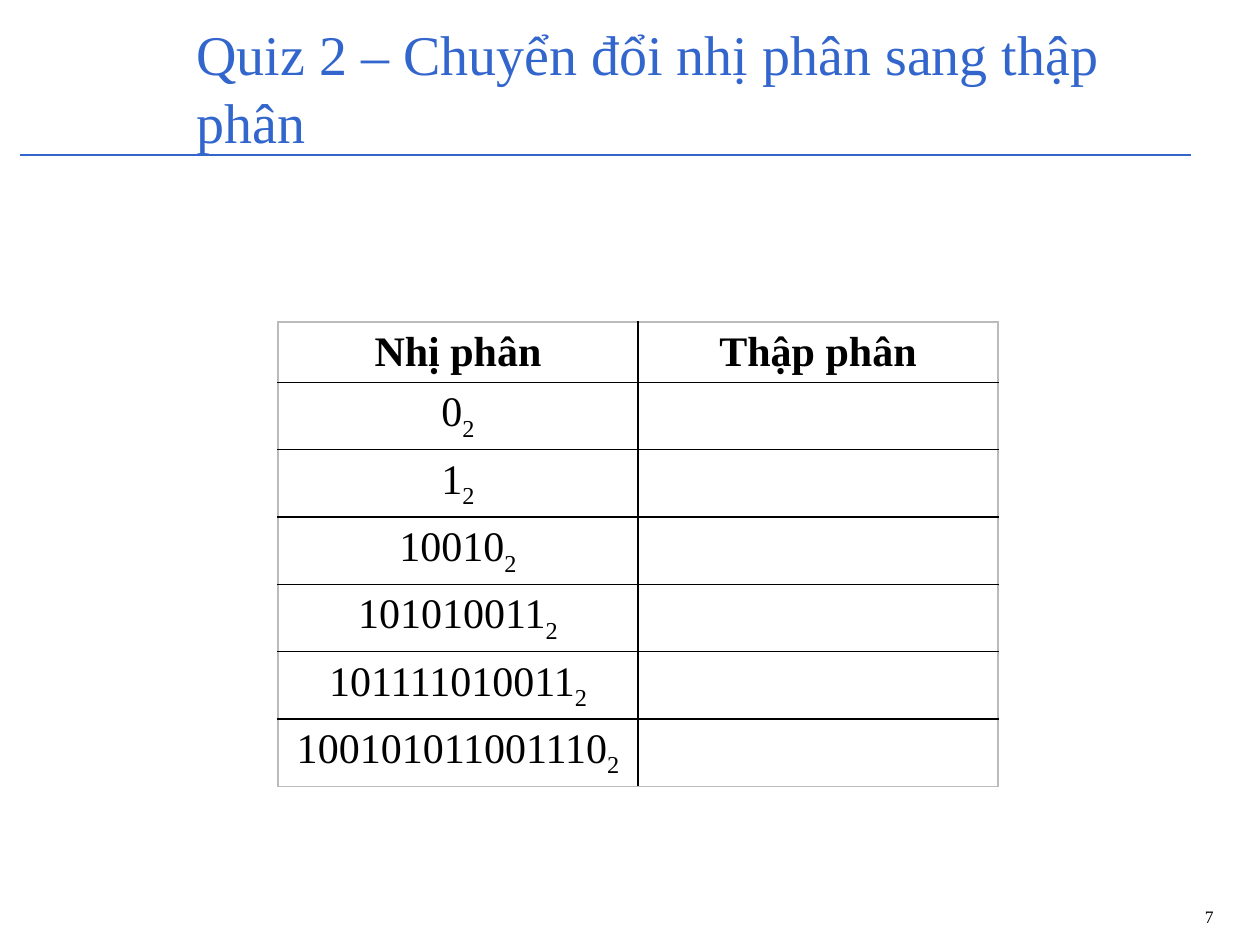
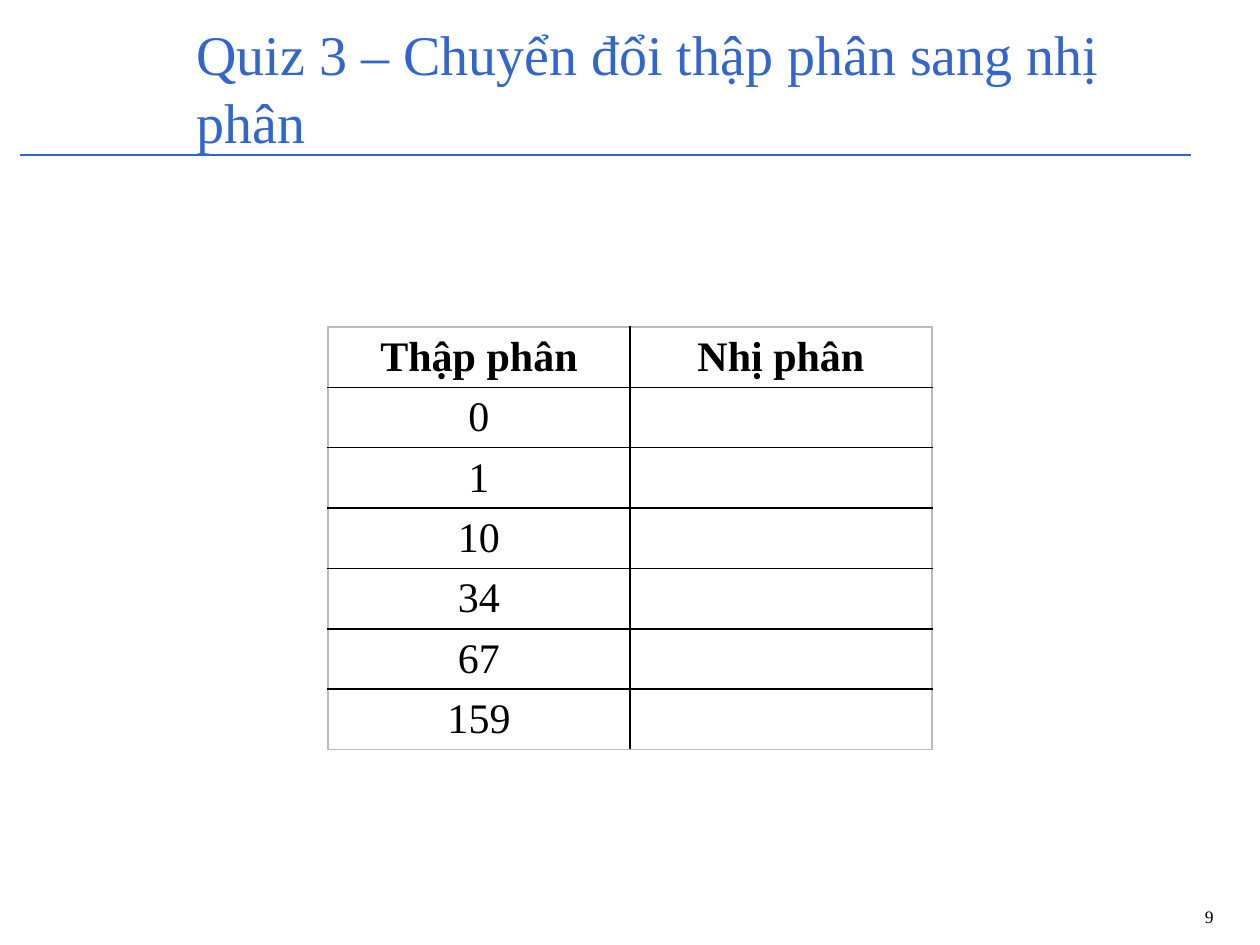
import pptx
import pptx.util
import pptx.dml.color
import pptx.enum.shapes
import pptx.enum.text
import pptx.oxml.ns
import lxml.etree

RGB = pptx.dml.color.RGBColor.from_string
ALIGN = pptx.enum.text.PP_ALIGN
ANCHOR = pptx.enum.text.MSO_ANCHOR
qn = pptx.oxml.ns.qn

THEME = {
    "font": "Times New Roman",
    "blue": "3366CC", "text": "000000", "grid": "000000", "frame": "BBBBBB",
    "title": 32, "table": 24, "number": 10,
    "rule": 0.75, "border": 1,
}
ROW_HEIGHT = 60

# Each quiz: title, page number, table left, top, column width, headings, values, base
QUIZZES = [
    ("Quiz 2 – Chuyển đổi nhị phân sang thập phân", "7", 278, 322, 360,
     ("Nhị phân", "Thập phân"),
     ("0", "1", "10010", "101010011", "101111010011", "100101011001110"), "2"),
    ("Quiz 3 – Chuyển đổi thập phân sang nhị phân", "9", 328, 327, 302,
     ("Thập phân", "Nhị phân"),
     ("0", "1", "10", "34", "67", "159"), ""),
]


def px(pixels):
    return pptx.util.Emu(round(pixels * 914400 / 126))


def add_run(paragraph, text, size, color="text", bold=False):
    run = paragraph.add_run()
    run.text = text
    run.font.name = THEME["font"]
    run.font.size = pptx.util.Pt(THEME[size])
    run.font.bold = bold
    run.font.color.rgb = RGB(THEME[color])
    return run


presentation = pptx.Presentation()
presentation.slide_width = px(1260)
presentation.slide_height = px(945)

for title, number, left, top, column_width, headings, values, base in QUIZZES:
    slide = presentation.slides.add_slide(presentation.slide_layouts[6])

    # Rule under the title
    rule = slide.shapes.add_connector(
        pptx.enum.shapes.MSO_CONNECTOR.STRAIGHT, px(20), px(155), px(1191), px(155))
    rule.line.color.rgb = RGB(THEME["blue"])
    rule.line.width = pptx.util.Pt(THEME["rule"])
    lxml.etree.SubElement(rule._element.spPr, qn("a:effectLst"))

    # Title and page number
    for text, box, size, color, alignment, anchor in (
        (title, (184, 39, 1042, 96), "title", "blue", ALIGN.LEFT, ANCHOR.MIDDLE),
        (number, (984, 900, 242, 40), "number", "text", ALIGN.RIGHT, ANCHOR.TOP),
    ):
        frame = slide.shapes.add_textbox(*map(px, box)).text_frame
        frame.word_wrap = True
        frame.vertical_anchor = anchor
        frame.paragraphs[0].alignment = alignment
        add_run(frame.paragraphs[0], text, size, color)

    # Table grid, with the answer column left empty
    row_count, column_count = len(values) + 1, len(headings)
    table = slide.shapes.add_table(
        row_count, column_count, px(left), px(top),
        px(column_width * column_count), px(ROW_HEIGHT * row_count)).table
    table.first_row = False
    table.horz_banding = False
    for column in table.columns:
        column.width = px(column_width)
    for row in table.rows:
        row.height = px(ROW_HEIGHT)

    # Cell borders: light frame outside, dark grid inside
    for row in range(row_count):
        for column in range(column_count):
            cell = table.cell(row, column)
            cell.vertical_anchor = ANCHOR.MIDDLE
            cell.margin_left = cell.margin_right = px(9)
            cell.margin_top = cell.margin_bottom = px(5)
            properties = cell._tc.get_or_add_tcPr()
            for side, outer in (("L", column == 0), ("R", column == column_count - 1),
                                ("T", row == 0), ("B", row == row_count - 1)):
                border = lxml.etree.SubElement(
                    properties, qn("a:ln" + side),
                    w=str(pptx.util.Pt(THEME["border"])))
                fill = lxml.etree.SubElement(border, qn("a:solidFill"))
                lxml.etree.SubElement(
                    fill, qn("a:srgbClr"), val=THEME["frame" if outer else "grid"])
            cell.fill.background()

    # Headings, then the numbers to convert
    for column, heading in enumerate(headings):
        paragraph = table.cell(0, column).text_frame.paragraphs[0]
        paragraph.alignment = ALIGN.CENTER
        add_run(paragraph, heading, "table", bold=True)
    for row, value in enumerate(values, start=1):
        paragraph = table.cell(row, 0).text_frame.paragraphs[0]
        paragraph.alignment = ALIGN.CENTER
        add_run(paragraph, value, "table")
        if base:
            subscript = add_run(paragraph, base, "table")
            subscript._r.get_or_add_rPr().set("baseline", "-25000")

presentation.save("out.pptx")
